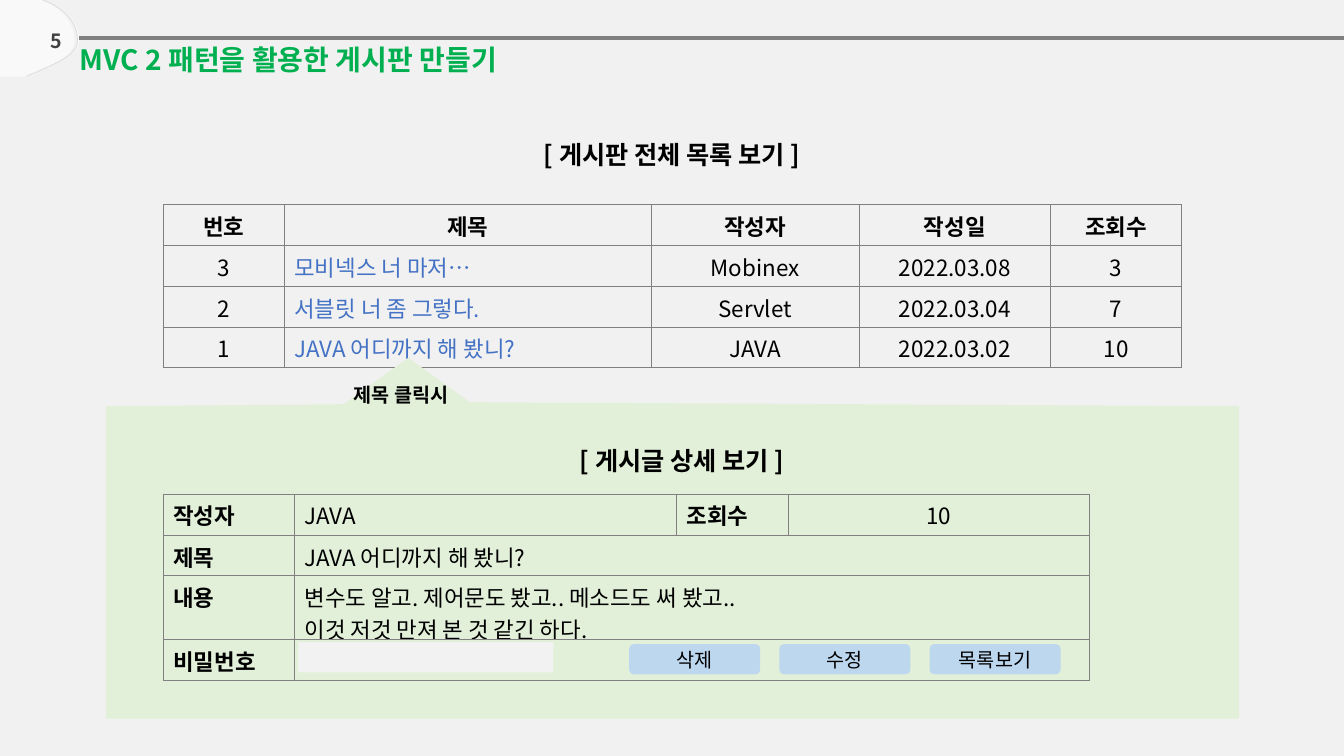
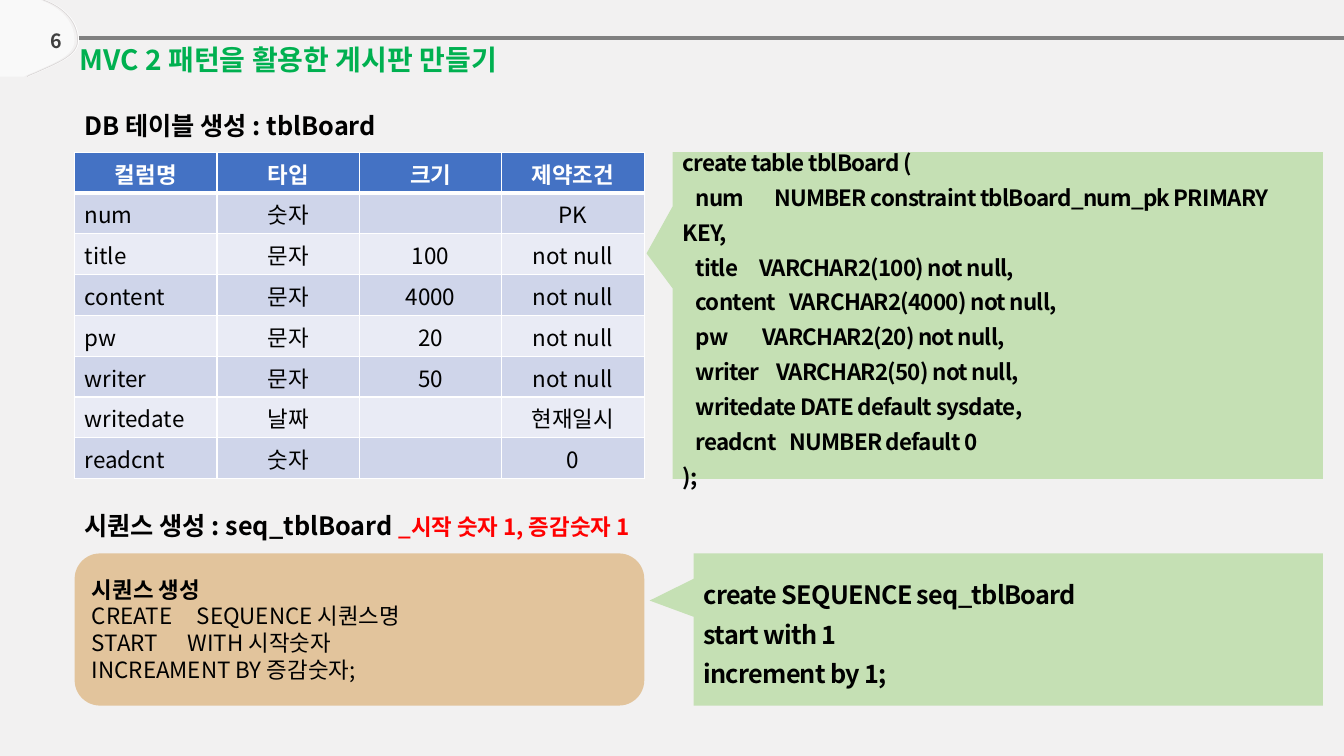
from dataclasses import dataclass, replace
from typing import Optional

from lxml.etree import SubElement
from pptx import Presentation
from pptx.dml.color import RGBColor
from pptx.enum.shapes import MSO_CONNECTOR, MSO_SHAPE as SHAPE
from pptx.enum.text import MSO_ANCHOR as ANCHOR, MSO_AUTO_SIZE, PP_ALIGN as ALIGN
from pptx.oxml.ns import qn
from pptx.util import Inches, Pt

FONT = "Noto Sans CJK KR"
BLACK, WHITE, GRAY, BLUE = "000000", "FFFFFF", "808080", "4472C4"
BACKGROUND, EDGE, NUMBER = "F2F1F1", "DBD8D8", "404040"
GREEN, RED, FIELD, BUTTON = "00B050", "FF0000", "F2F2F2", "BDD7EE"
PANEL, CODE, SAND = "E2F0D9", "C5E0B4", "E2C49C"
BAND = ("CFD5EA", "E9EBF5")
TITLE = "MVC 2 패턴을 활용한 게시판 만들기"

Point = tuple[float, float]


@dataclass(frozen=True)
class Box:
    x: float
    y: float
    w: float
    h: float

    def emu(self) -> tuple:
        return Inches(self.x), Inches(self.y), Inches(self.w), Inches(self.h)


@dataclass(frozen=True)
class Style:
    size: int = 16
    bold: bool = False
    color: str = BLACK
    spacing: int = 0


@dataclass(frozen=True)
class Line:
    runs: tuple[tuple[str, Style], ...]
    align: ALIGN = ALIGN.LEFT
    height: Optional[float] = None
    tabs: tuple[float, ...] = ()


@dataclass(frozen=True)
class Cell:
    text: str = ""
    style: Style = Style()
    align: ALIGN = ALIGN.CENTER
    fill: Optional[str] = None
    bottom: Optional[float] = None


@dataclass(frozen=True)
class Grid:
    box: Box
    cols: tuple[float, ...]
    rows: tuple[float, ...]
    border: str
    width: float
    anchor: ANCHOR = ANCHOR.TOP


PLAIN = Style()
BOLD = Style(bold=True)
HEADING = Style(18, True)
SMALL = Style(14)


def rgb(value: str) -> RGBColor:
    return RGBColor.from_string(value)


def one(text: str, style: Style, align: ALIGN = ALIGN.LEFT) -> Line:
    return Line(((text, style),), align)


def write(tf, lines: list[Line]) -> None:
    for i, line in enumerate(lines):
        p = tf.paragraphs[0] if i == 0 else tf.add_paragraph()
        p.alignment = line.align
        if line.height:
            p.line_spacing = line.height
        if line.tabs:
            stops = SubElement(p._p.get_or_add_pPr(), qn("a:tabLst"))
            for tab in line.tabs:
                SubElement(stops, qn("a:tab"), pos=str(Inches(tab)), algn="l")
        for text, style in line.runs:
            for j, piece in enumerate(text.split("\n")):
                if j:
                    p.add_line_break()
                add_run(p, piece, style)


def add_run(p, text: str, style: Style) -> None:
    if not text:
        SubElement(p._p, qn("a:endParaRPr"), sz=str(style.size * 100))
        return
    r = p.add_run()
    r.text = text
    r.font.size, r.font.bold = Pt(style.size), style.bold
    r.font.color.rgb = rgb(style.color)
    r.font.name = FONT
    rPr = r._r.get_or_add_rPr()
    SubElement(rPr, qn("a:ea"), typeface=FONT)
    if style.spacing:
        rPr.set("spc", str(style.spacing))


def add_text(s, box: Box, *lines: Line, wrap: bool = True):
    sp = s.shapes.add_textbox(*box.emu())
    sp.text_frame.word_wrap = wrap
    write(sp.text_frame, list(lines))
    return sp


def paint(sp, fill: str) -> None:
    sp.shadow.inherit = False
    sp.fill.solid()
    sp.fill.fore_color.rgb = rgb(fill)
    sp.line.fill.background()


def add_block(s, kind: SHAPE, box: Box, fill: str, *lines: Line,
              adjust: tuple[float, ...] = ()):
    sp = s.shapes.add_shape(kind, *box.emu())
    paint(sp, fill)
    for i, value in enumerate(adjust):
        sp.adjustments[i] = value
    tf = sp.text_frame
    tf.word_wrap, tf.vertical_anchor = True, ANCHOR.MIDDLE
    write(tf, list(lines))
    return sp


def add_outline(s, points: list[Point], close: bool = True):
    pts = [(Inches(x), Inches(y)) for x, y in points]
    builder = s.shapes.build_freeform(*pts[0])
    builder.add_line_segments(pts[1:], close=close)
    return builder.convert_to_shape()


def bezier(a: Point, b: Point, c: Point, d: Point, steps: int = 12) -> list[Point]:
    def at(t: float, k: int) -> float:
        u = 1 - t
        return u**3 * a[k] + 3 * u * u * t * b[k] + 3 * u * t * t * c[k] + t**3 * d[k]
    return [(at(i / steps, 0), at(i / steps, 1)) for i in range(steps + 1)]


def add_border(tcPr, side: str, color: str, width: float) -> None:
    ln = SubElement(tcPr, qn(f"a:ln{side}"), w=str(Pt(width)))
    fill = SubElement(ln, qn("a:solidFill"))
    SubElement(fill, qn("a:srgbClr"), val=color)


def add_grid(s, grid: Grid, cells: list[list[Cell]]):
    frame = s.shapes.add_table(len(grid.rows), len(grid.cols), *grid.box.emu())
    table = frame.table
    table.first_row = table.horz_banding = False
    for col, w in zip(table.columns, grid.cols):
        col.width = Inches(w)
    for row, h in zip(table.rows, grid.rows):
        row.height = Inches(h)
    for i, row in enumerate(cells):
        above = cells[i - 1][0].bottom if i else None
        for j in range(len(grid.cols)):
            cell = row[j] if j < len(row) else Cell()
            tc = table.cell(i, j)
            tcPr = tc._tc.get_or_add_tcPr()
            widths = {"T": above, "B": cell.bottom}
            for side in "LRTB":
                add_border(tcPr, side, grid.border, widths.get(side) or grid.width)
            if cell.fill:
                tc.fill.solid()
                tc.fill.fore_color.rgb = rgb(cell.fill)
            else:
                tc.fill.background()
            tc.vertical_anchor = grid.anchor
            write(tc.text_frame, [one(cell.text, cell.style, cell.align)])
        if len(row) < len(grid.cols):
            table.cell(i, len(row) - 1).merge(table.cell(i, len(grid.cols) - 1))


def decorate(s, layout) -> None:
    rule = s.shapes.add_connector(MSO_CONNECTOR.STRAIGHT, Inches(0.78), Inches(0.38),
                                  Inches(13.33), Inches(0.38))
    rule.line.color.rgb, rule.line.width = rgb(GRAY), Pt(3)
    SubElement(rule.element.spPr, qn("a:effectLst"))
    curve = (bezier((0.4, 0), (0.62, 0.08), (0.74, 0.23), (0.74, 0.4))
             + bezier((0.74, 0.4), (0.74, 0.55), (0.55, 0.62), (0.35, 0.71))
             + bezier((0.35, 0.71), (0.31, 0.73), (0.27, 0.74), (0.24, 0.76)))
    badge = add_outline(s, [(0, 0), *curve, (0, 0.76)])
    paint(badge, WHITE)
    color = badge.element.spPr.find(".//" + qn("a:srgbClr"))
    SubElement(color, qn("a:alpha"), val="60000")
    parts = [rule, badge]
    for dx, tint in ((0.04, WHITE), (0.03, EDGE)):
        edge = add_outline(s, [(x + dx, y) for x, y in curve], close=False)
        edge.shadow.inherit = False
        edge.fill.background()
        edge.line.color.rgb, edge.line.width = rgb(tint), Pt(0.5)
        parts.append(edge)
    for sp in parts:
        layout.shapes.element.append(sp.element)


def add_slide(prs, layout, number: int):
    s = prs.slides.add_slide(layout)
    title = s.shapes.title
    title.left, title.top, title.width, title.height = Box(0.69, 0.37, 6.68, 0.44).emu()
    tf = title.text_frame
    tf.word_wrap, tf.auto_size = True, MSO_AUTO_SIZE.NONE
    tf.vertical_anchor = ANCHOR.TOP
    write(tf, [one(TITLE, Style(20, True, GREEN))])
    sp = add_text(s, Box(0, 0.12, 0.74, 0.5),
                  one(str(number), Style(14, True, NUMBER), ALIGN.RIGHT))
    tf = sp.text_frame
    tf.vertical_anchor = ANCHOR.BOTTOM
    tf.margin_left = tf.margin_right = tf.margin_top = Inches(0.12)
    tf.margin_bottom = Inches(0.1)
    return s


def fill_board(s) -> None:
    add_text(s, Box(0.88, 1.33, 11.57, 0.4),
             one("[ 게시판 전체 목록 보기 ]", HEADING, ALIGN.CENTER))
    posts = [("3", "모비넥스 너 마저…", "Mobinex", "2022.03.08", "3"),
             ("2", "서블릿 너 좀 그렇다.", "Servlet", "2022.03.04", "7"),
             ("1", "JAVA 어디까지 해 봤니?", "JAVA", "2022.03.02", "10")]
    cells = [[Cell(t, BOLD) for t in ("번호", "제목", "작성자", "작성일", "조회수")]]
    for post in posts:
        row = [Cell(t) for t in post]
        row[1] = replace(row[1], style=Style(color=BLUE), align=ALIGN.LEFT)
        cells.append(row)
    add_grid(s, Grid(Box(1.62, 2.03, 10.1, 1.62), (1.2, 3.64, 2.06, 1.9, 1.3),
                     (1.62 / 4,) * 4, GRAY, 0.5), cells)

    panel = add_outline(s, [(1.05, 4.03), (3.41, 4.01), (4.05, 3.55), (4.66, 3.99),
                            (12.29, 4.03), (12.29, 7.13), (1.05, 7.13)])
    paint(panel, PANEL)
    add_text(s, Box(3.41, 3.75, 1.24, 0.34), one("제목 클릭시", Style(14, True)), wrap=False)

    def label(text: str) -> Cell:
        return Cell(text, BOLD, ALIGN.LEFT)

    def value(text: str) -> Cell:
        return Cell(text, PLAIN, ALIGN.LEFT)

    body = "변수도 알고. 제어문도 봤고.. 메소드도 써 봤고..\n이것 저것 만져 본 것 같긴 하다."
    add_grid(s, Grid(Box(1.62, 4.9, 9.19, 1.85), (1.3, 3.79, 1.11, 2.98),
                     (0.41, 0.4, 0.63, 0.41), GRAY, 0.5),
             [[label("작성자"), value("JAVA"), label("조회수"), Cell("10")],
              [label("제목"), value("JAVA 어디까지 해 봤니?")],
              [label("내용"), value(body)],
              [label("비밀번호"), value("")]])
    add_text(s, Box(0.98, 4.37, 11.57, 0.4),
             one("[ 게시글 상세 보기 ]", HEADING, ALIGN.CENTER))
    add_block(s, SHAPE.RECTANGLE, Box(2.96, 6.37, 2.53, 0.3), FIELD)
    for i, text in enumerate(("삭제", "수정", "목록보기")):
        add_block(s, SHAPE.ROUNDED_RECTANGLE, Box(6.24 + i * 1.49, 6.39, 1.3, 0.3),
                  BUTTON, one(text, SMALL, ALIGN.CENTER))


def fill_database(s) -> None:
    add_text(s, Box(0.74, 1.05, 5.65, 0.4), one("DB 테이블 생성 : tblBoard", HEADING))
    columns = [("num", "숫자", "", "PK"), ("title", "문자", "100", "not null"),
               ("content", "문자", "4000", "not null"), ("pw", "문자", "20", "not null"),
               ("writer", "문자", "50", "not null"), ("writedate", "날짜", "", "현재일시"),
               ("readcnt", "숫자", "", "0")]
    cells = [[Cell(t, Style(bold=True, color=WHITE), fill=BLUE, bottom=3)
              for t in ("컬럼명", "타입", "크기", "제약조건")]]
    for i, column in enumerate(columns):
        cells.append([Cell(t, align=ALIGN.CENTER if j else ALIGN.LEFT, fill=BAND[i % 2])
                      for j, t in enumerate(column)])
    add_grid(s, Grid(Box(0.74, 1.51, 5.65, 3.24), (5.65 / 4,) * 4, (3.24 / 8,) * 8,
                     WHITE, 1, ANCHOR.MIDDLE), cells)

    code = Style(16, True, spacing=-50)
    fields = [("\tnum\tNUMBER constraint tblBoard_num_pk PRIMARY KEY,", (0.13, 0.91)),
              ("\ttitle\tVARCHAR2(100) not null,", (0.13, 0.76)),
              ("\tcontent\tVARCHAR2(4000) not null,", (0.13, 1.06)),
              ("\tpw\tVARCHAR2(20) not null,", (0.13, 0.79)),
              ("\twriter\tVARCHAR2(50) not null,", (0.13, 0.93)),
              ("\twritedate DATE default sysdate,", (0.13,)),
              ("\treadcnt\tNUMBER default 0", (0.13, 1.06))]
    lines = [Line(((text, code),), height=1.3, tabs=tabs) for text, tabs in fields]
    first, last = (Line(((t, code),), height=1.3) for t in ("create table tblBoard (", ");"))
    add_block(s, SHAPE.RECTANGULAR_CALLOUT, Box(6.67, 1.51, 6.45, 3.24), CODE,
              first, *lines, last, adjust=(-0.54, -0.19))

    sequence = ("create SEQUENCE seq_tblBoard", "start with 1", "increment by 1;")
    add_block(s, SHAPE.RECTANGULAR_CALLOUT, Box(6.88, 5.49, 6.24, 1.51), CODE,
              *(Line(((t, replace(code, size=18)),), height=1.3) for t in sequence),
              adjust=(-0.57, -0.19))
    add_text(s, Box(0.74, 5.01, 6.84, 0.4),
             Line((("시퀀스 생성 : seq_tblBoard ", HEADING),
                   ("_시작 숫자 1, 증감숫자 1", Style(16, True, RED)))))
    add_block(s, SHAPE.ROUNDED_RECTANGLE, Box(0.74, 5.49, 5.65, 1.51), SAND,
              one("시퀀스 생성", BOLD),
              Line((("CREATE\tSEQUENCE 시퀀스명", PLAIN),), tabs=(1.04,)),
              Line((("START\tWITH 시작숫자", PLAIN),), tabs=(0.95,)),
              one("INCREAMENT BY 증감숫자;", PLAIN))


def main() -> None:
    prs = Presentation()
    prs.slide_width, prs.slide_height = Inches(13.33), Inches(7.5)
    fill = prs.slide_master.background.fill
    fill.solid()
    fill.fore_color.rgb = rgb(BACKGROUND)
    layout = prs.slide_layouts[5]
    for number, draw in enumerate((fill_board, fill_database), start=5):
        s = add_slide(prs, layout, number)
        if number == 5:
            decorate(s, layout)
        draw(s)
    prs.save("out.pptx")


if __name__ == "__main__":
    main()
